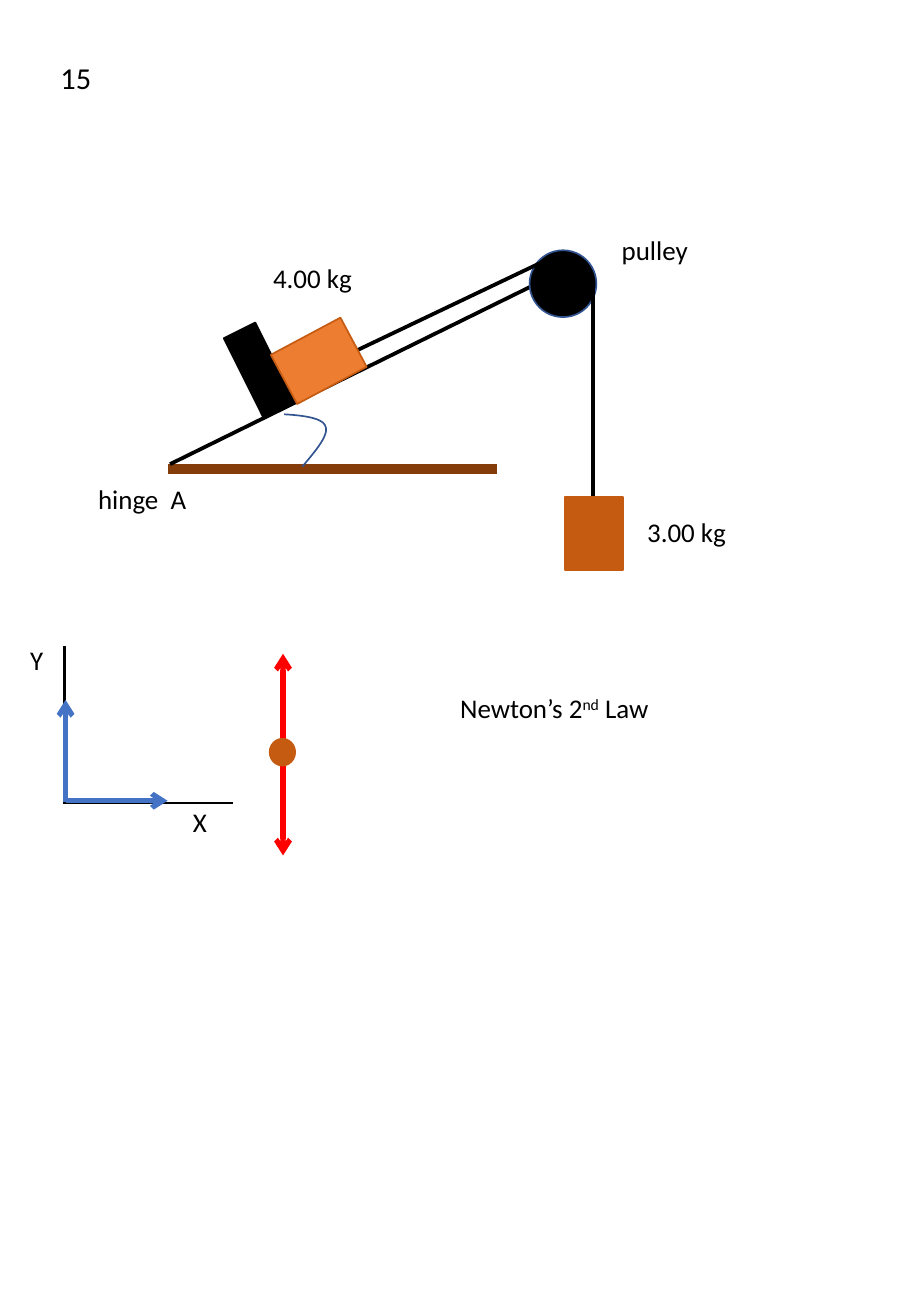
import pptx
import pptx.dml.color
import pptx.enum.shapes
import pptx.enum.text
import pptx.oxml.ns
import pptx.util
from dataclasses import dataclass
from lxml import etree


@dataclass(frozen=True)
class Theme:
    font: str = "Calibri"
    label: int = 16
    number: int = 18
    ink: str = "000000"
    board: str = "843C0B"
    block: str = "ED7D31"
    weight: str = "C55A11"
    outline: str = "325491"
    axis: str = "4472C4"
    force: str = "FF0000"


T = Theme()
COLS, ROWS = 75, 108.3  # grid cells across and down the slide
CELL = pptx.util.Inches(0.1)
SHAPE = pptx.enum.shapes.MSO_SHAPE
SUPERSCRIPT = {"baseline": "30000"}
WIDE_SPACE = {"spc": "360"}

# Content, back to front; places are in grid cells
# line: from, to, colour, points, arrowheads
# shape: preset, left, top, width, height, turn, fill, outline
# text: left, top, width, height, size, runs
INCLINE = [
    ("line", (23.3, 53.8), (23.3, 70.4), T.force, 3, ("headEnd", "tailEnd")),
    ("text", (4, 4.4, 4.6, 4), T.number, ["15"]),
    ("line", (13.8, 38.6), (40.9, 38.6), T.board, 6, ()),
    ("line", (14, 38.2), (45.5, 22.7), T.ink, 2.25, ()),
    ("shape", SHAPE.RECTANGLE, (19.9, 26.8, 2.9, 7.3), 333.5, T.ink, T.ink),
    ("shape", SHAPE.OVAL, (43.6, 20.6, 5.5, 5.5), 0, T.ink, T.outline),
    ("line", (28.2, 29.4), (45.2, 21.3), T.ink, 2.25, ()),
    ("shape", SHAPE.RECTANGLE, (23, 27.4, 6.5, 4.6), 331.9, T.block, T.weight),
    ("line", (48.8, 23.4), (48.8, 42.4), T.ink, 2.25, ()),
    ("shape", SHAPE.RECTANGLE, (46.5, 40.9, 4.8, 6), 0, T.weight, T.weight),
    ("text", (50.2, 18.7, 7.5, 3.7), T.label, ["pulley"]),
    ("text", (52.3, 41.9, 8.6, 3.7), T.label, ["3.00 kg"]),
    ("text", (21.5, 21, 8.6, 3.7), T.label, ["4.00 kg"]),
    ("curve", [((24.9, 38.4), (26, 37.1), (27.1, 35.8), (26.8, 35.1)),
               ((26.8, 35.1), (26.6, 34.4), (25, 34.2), (23.4, 34.1))], T.outline),
    ("text", (7.1, 39.2, 9.3, 3.7), T.label, ["hinge", (" ", WIDE_SPACE), "A"]),
    ("shape", SHAPE.OVAL, (22.2, 60.8, 2.1, 2.2), 0, T.weight, T.weight),
]
AXES = [
    ("line", (5.3, 53.2), (5.3, 66.2), T.ink, 1.5, ()),
    ("line", (5.2, 66.1), (19.2, 66.1), T.ink, 1.5, ()),
    ("line", (5.4, 65.9), (13.8, 65.9), T.axis, 3, ("tailEnd",)),
    ("line", (5.4, 66), (5.4, 57.6), T.axis, 3, ("tailEnd",)),
    ("text", (1.5, 52.5, 3.1, 3.7), T.label, ["Y"]),
    ("text", (14.9, 65.8, 3.2, 3.7), T.label, ["X"]),
]
LAW = [
    ("text", (36.9, 56.4, 17.9, 3.7), T.label,
     ["Newton’s 2", ("nd", SUPERSCRIPT), " Law"]),
]


def grid(*cells):
    return [round(c * CELL) for c in cells]


def rgb(colour):
    return pptx.dml.color.RGBColor.from_string(colour)


def stroke(sp, colour, points):
    sp.line.color.rgb = rgb(colour)
    sp.line.width = pptx.util.Pt(points)


def add_line(shapes, start, end, colour, points, heads):
    cx = shapes.add_connector(pptx.enum.shapes.MSO_CONNECTOR.STRAIGHT, *grid(*start, *end))
    stroke(cx, colour, points)
    ln = cx.line._get_or_add_ln()
    for head in heads:
        etree.SubElement(ln, pptx.oxml.ns.qn("a:" + head), type="arrow")
    etree.SubElement(cx._element.spPr, pptx.oxml.ns.qn("a:effectLst"))


def add_preset(shapes, preset, box, turn, fill, outline):
    sp = shapes.add_shape(preset, *grid(*box))
    sp.rotation = turn
    sp.shadow.inherit = False
    sp.fill.solid()
    sp.fill.fore_color.rgb = rgb(fill)
    stroke(sp, outline, 1)


def add_text(shapes, box, size, runs):
    tf = shapes.add_textbox(*grid(*box)).text_frame
    tf.word_wrap = False
    tf.auto_size = pptx.enum.text.MSO_AUTO_SIZE.SHAPE_TO_FIT_TEXT
    p = tf.paragraphs[0]
    for run in runs:
        text, extras = (run, {}) if isinstance(run, str) else run
        r = p.add_run()
        r.text = text
        r.font.name = T.font
        r.font.size = pptx.util.Pt(size)
        r.font.color.rgb = rgb(T.ink)
        for name, value in extras.items():
            r.font._element.set(name, value)


def bezier(points, t):
    weights = ((1 - t) ** 3, 3 * t * (1 - t) ** 2, 3 * t * t * (1 - t), t ** 3)
    return tuple(sum(w * pt[i] for w, pt in zip(weights, points)) for i in (0, 1))


def add_curve(shapes, segments, colour, steps=16):
    dots = [bezier(seg, n / steps) for seg in segments for n in range(1, steps + 1)]
    builder = shapes.build_freeform(*grid(*segments[0][0]))
    builder.add_line_segments([grid(*dot) for dot in dots], close=False)
    sp = builder.convert_to_shape()
    sp.shadow.inherit = False
    sp.fill.background()
    stroke(sp, colour, 1)


DRAW = {"line": add_line, "shape": add_preset, "text": add_text, "curve": add_curve}


def draw(shapes, parts):
    for kind, *details in parts:
        DRAW[kind](shapes, *details)


def main():
    prs = pptx.Presentation()
    prs.slide_width, prs.slide_height = grid(COLS, ROWS)
    slide = prs.slides.add_slide(prs.slide_layouts[6])
    draw(slide.shapes, INCLINE)
    draw(slide.shapes.add_group_shape().shapes, AXES)
    draw(slide.shapes, LAW)
    prs.save("out.pptx")


if __name__ == "__main__":
    main()
